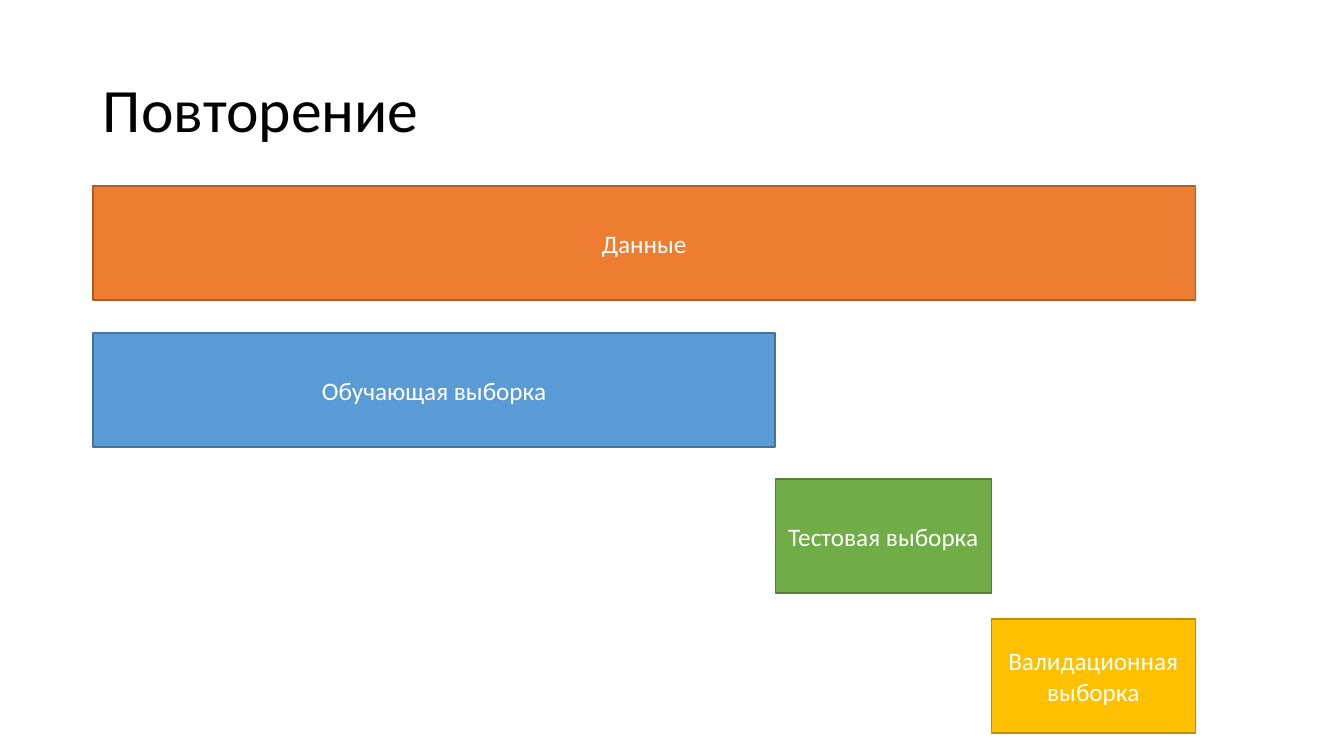
from pptx import Presentation
from pptx.dml.color import RGBColor
from pptx.enum.shapes import MSO_SHAPE
from pptx.enum.text import MSO_ANCHOR, PP_ALIGN
from pptx.util import Inches, Pt

EMU_PER_PIXEL = 914400 / 100.8

BLACK = RGBColor(0x00, 0x00, 0x00)
WHITE = RGBColor(0xFF, 0xFF, 0xFF)
ORANGE, DARK_ORANGE = RGBColor(0xED, 0x7D, 0x31), RGBColor(0xAF, 0x5C, 0x24)
BLUE, DARK_BLUE = RGBColor(0x5B, 0x9B, 0xD5), RGBColor(0x43, 0x73, 0x9E)
GREEN, DARK_GREEN = RGBColor(0x70, 0xAD, 0x47), RGBColor(0x53, 0x80, 0x35)
GOLD, DARK_GOLD = RGBColor(0xFF, 0xC0, 0x00), RGBColor(0xBD, 0x8E, 0x00)

# Horizontal edges shared by the data bar and its subsets
DATA_START, TRAIN_END, TEST_END, DATA_END = 93, 775, 991, 1195
BAR_HEIGHT = 114

TITLE_FONT = {"name": "Calibri", "size": Pt(44)}
BAR_FONT = {"name": "Calibri", "size": Pt(18)}


def pixels(*lengths):
    return [round(length * EMU_PER_PIXEL) for length in lengths]


def write_text(box, text, font, color, **paragraph_format):
    frame = box.text_frame
    frame.word_wrap = True
    frame.vertical_anchor = MSO_ANCHOR.MIDDLE
    para = frame.paragraphs[0]
    for name, value in paragraph_format.items():
        setattr(para, name, value)
    span = para.add_run()
    span.text = text
    for name, value in font.items():
        setattr(span.font, name, value)
    span.font.color.rgb = color


def add_title(page, text):
    box = page.shapes.add_textbox(*pixels(DATA_START, 40, 1159, 146))
    write_text(box, text, TITLE_FONT, BLACK, line_spacing=0.9)


def add_bar(page, text, start, end, top, fill, outline):
    bar = page.shapes.add_shape(
        MSO_SHAPE.RECTANGLE, *pixels(start, top, end - start, BAR_HEIGHT))
    bar.shadow.inherit = False
    bar.fill.solid()
    bar.fill.fore_color.rgb = fill
    bar.line.color.rgb = outline
    bar.line.width = Pt(1)
    write_text(bar, text, BAR_FONT, WHITE, alignment=PP_ALIGN.CENTER)


def main():
    deck = Presentation()
    deck.slide_width, deck.slide_height = Inches(13.33), Inches(7.5)
    page = deck.slides.add_slide(deck.slide_layouts[6])

    add_title(page, "Повторение")

    # Full data set, then the subsets it is split into
    bars = [
        ("Данные", DATA_START, DATA_END, 186, ORANGE, DARK_ORANGE),
        ("Обучающая выборка", DATA_START, TRAIN_END, 333, BLUE, DARK_BLUE),
        ("Тестовая выборка", TRAIN_END, TEST_END, 479, GREEN, DARK_GREEN),
        ("Валидационная выборка", TEST_END, DATA_END, 619, GOLD, DARK_GOLD),
    ]
    for bar in bars:
        add_bar(page, *bar)

    deck.save("out.pptx")


main()
